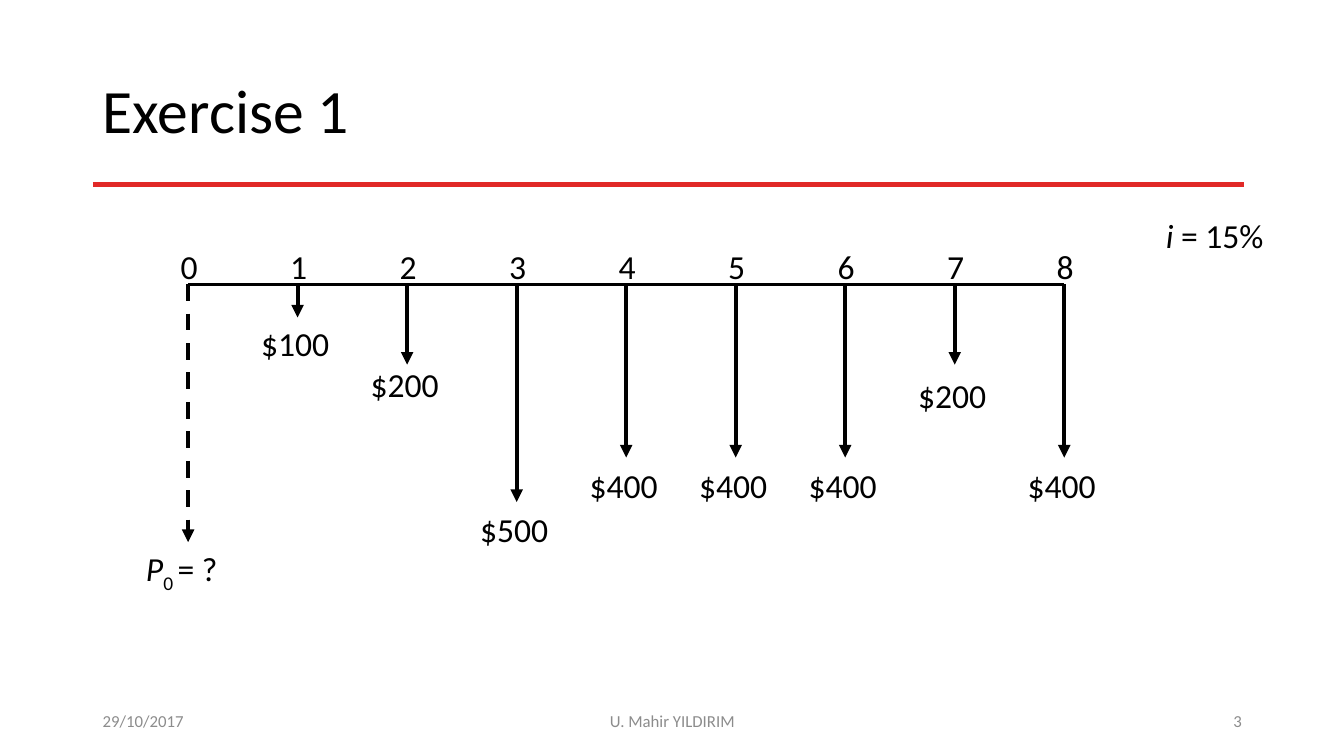
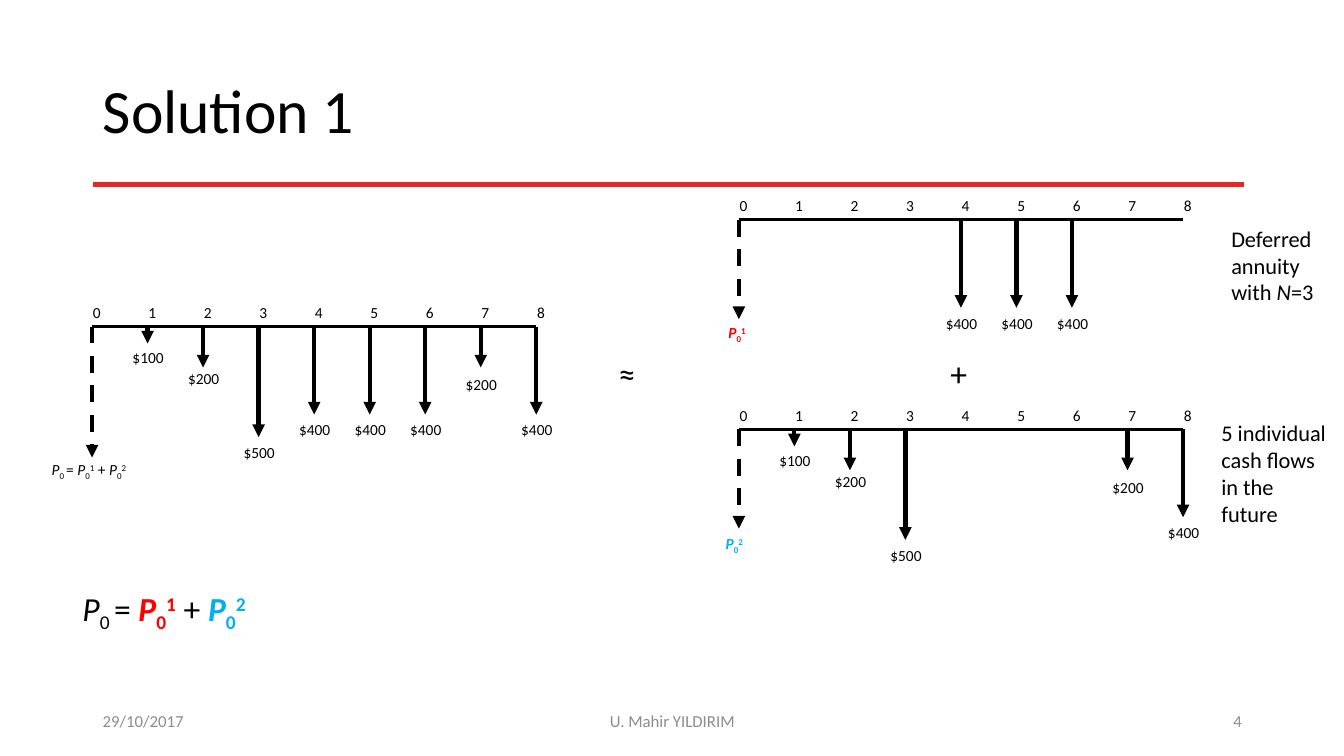
from dataclasses import dataclass

from lxml.etree import SubElement
from pptx import Presentation
from pptx.dml.color import RGBColor
from pptx.enum.dml import MSO_LINE
from pptx.enum.shapes import MSO_CONNECTOR
from pptx.enum.text import MSO_ANCHOR as ANCHOR, PP_ALIGN as ALIGN
from pptx.oxml.ns import qn
from pptx.util import Cm, Pt


@dataclass(frozen=True)
class Theme:
    font: str = "Calibri"
    ink: str = "000000"
    rule: str = "E12927"
    muted: str = "8C8C8C"
    annuity: str = "FF0000"
    individual: str = "00B0F0"
    title_size: int = 44
    body_size: int = 24
    note_size: int = 16
    footer_size: int = 12
    small_size: int = 11
    axis_width: float = 2.25
    line_width: float = 3


@dataclass(frozen=True)
class Run:
    text: str
    color: str = ""
    bold: bool = False
    italic: bool = False
    baseline: int = 0


@dataclass(frozen=True)
class Flow:
    period: int
    amount: int
    length: float
    label_top: float


@dataclass(frozen=True)
class DiagramStyle:
    scale: float
    text_size: int
    text_height: float
    period_offset: tuple
    period_width: float
    amount_offset: float
    amount_width: float
    amount_align: ALIGN


THEME = Theme()
LAST_PERIOD = 8
PERIOD_STEP = 2.76
LARGE = DiagramStyle(1, THEME.body_size, 1.27, (-0.44, -1.09), 0.97, -1.17, 2.44, ALIGN.LEFT)
SMALL = DiagramStyle(0.507, THEME.small_size, 0.74, (-0.23, -0.72), 0.48, -0.86, 1.75, ALIGN.CENTER)
SINGLE_FLOWS = [
    Flow(1, 100, 0.84, 0.84),
    Flow(2, 200, 2.03, 1.88),
    Flow(3, 500, 5.49, 5.54),
    Flow(7, 200, 2.03, 2.16),
    Flow(8, 400, 4.37, 4.42),
]
ANNUITY_FLOWS = [Flow(period, 400, 4.37, 4.42) for period in (4, 5, 6)]
ALL_FLOWS = SINGLE_FLOWS + ANNUITY_FLOWS


def add_text(slide, box, content, size, color=THEME.ink, align=ALIGN.LEFT,
             anchor=ANCHOR.TOP, spacing=1.0, right_inset=0.25):
    shape = slide.shapes.add_textbox(*map(Cm, box))
    frame = shape.text_frame
    frame.word_wrap = True
    frame.vertical_anchor = anchor
    frame.margin_right = Cm(right_inset)
    paragraph = frame.paragraphs[0]
    paragraph.alignment = align
    paragraph.line_spacing = spacing
    parts = [Run(content)] if isinstance(content, str) else content
    for part in parts:
        run = paragraph.add_run()
        run.text = part.text
        run.font.name = THEME.font
        run.font.size = Pt(size)
        run.font.bold = part.bold
        run.font.italic = part.italic
        run.font.color.rgb = RGBColor.from_string(part.color or color)
        if part.baseline:
            run._r.get_or_add_rPr().set("baseline", str(part.baseline * 1000))


def add_line(slide, start, end, width, color=THEME.ink, dashed=False, arrow=False):
    line = slide.shapes.add_connector(MSO_CONNECTOR.STRAIGHT, *map(Cm, (*start, *end)))
    line.line.width = Pt(width)
    line.line.color.rgb = RGBColor.from_string(color)
    if dashed:
        line.line.dash_style = MSO_LINE.DASH
    properties = line._element.spPr
    if arrow:
        SubElement(properties.find(qn("a:ln")), qn("a:tailEnd"), type="triangle")
    SubElement(properties, qn("a:effectLst"))


def add_arrow(slide, x, y, length, dashed=False):
    add_line(slide, (x, y), (x, y + length), THEME.line_width, dashed=dashed, arrow=True)


def add_cash_flow(slide, left, top, flows, present_length, style):
    step = PERIOD_STEP * style.scale
    add_line(slide, (left, top), (left + LAST_PERIOD * step, top), THEME.axis_width)
    add_arrow(slide, left, top, present_length, dashed=True)
    offset_x, offset_y = style.period_offset
    for period in range(LAST_PERIOD + 1):
        box = (left + period * step + offset_x, top + offset_y,
               style.period_width, style.text_height)
        add_text(slide, box, str(period), style.text_size, right_inset=0)
    for flow in flows:
        x = left + flow.period * step
        add_arrow(slide, x, top, flow.length * style.scale)
        box = (x + style.amount_offset, top + flow.label_top * style.scale,
               style.amount_width, style.text_height)
        add_text(slide, box, f"${flow.amount}", style.text_size, align=style.amount_align)


def present_value(part, color="", bold=False):
    return [
        Run("P", color, bold, italic=True),
        Run("0", color, bold, baseline=-25),
        Run(part, color, bold, baseline=30),
    ]


def present_value_sum(first, second):
    total = [Run("P", italic=True), Run("0 ", baseline=-25), Run("= ")]
    return total + first + [Run(" + ")] + second


def add_slide(presentation, title, number):
    slide = presentation.slides.add_slide(presentation.slide_layouts[6])
    add_line(slide, (2.34, 4.65), (31.34, 4.65), THEME.line_width, THEME.rule)
    add_text(slide, (2.34, 1.02, 29.21, 3.68), title, THEME.title_size,
             anchor=ANCHOR.MIDDLE, spacing=0.9)
    footers = [
        (2.34, 7.62, "29/10/2017", ALIGN.LEFT),
        (11.23, 11.43, "U. Mahir YILDIRIM", ALIGN.CENTER),
        (23.93, 7.62, str(number), ALIGN.RIGHT),
    ]
    for left, width, text, align in footers:
        add_text(slide, (left, 17.65, width, 1.02), text, THEME.footer_size,
                 THEME.muted, align, ANCHOR.MIDDLE)
    return slide


def build_exercise(presentation):
    slide = add_slide(presentation, "Exercise 1", 3)
    add_cash_flow(slide, 4.74, 7.16, ALL_FLOWS, 6.5, LARGE)
    unknown = [Run("P", italic=True), Run("0 ", baseline=-25), Run("= ?")]
    add_text(slide, (3.43, 13.69, 2.44, 1.27), unknown, THEME.body_size)
    interest = [Run("i", italic=True), Run(" = 15%")]
    add_text(slide, (29.13, 5.28, 3.91, 1.27), interest, THEME.body_size)


def build_solution(presentation):
    slide = add_slide(presentation, "Solution 1", 4)
    annuity = present_value("1", THEME.annuity, bold=True)
    individual = present_value("2", THEME.individual, bold=True)

    add_cash_flow(slide, 2.32, 8.23, ALL_FLOWS, 3.3, SMALL)
    add_cash_flow(slide, 18.62, 5.54, ANNUITY_FLOWS, 2.5, SMALL)
    add_cash_flow(slide, 18.62, 10.82, SINGLE_FLOWS, 2.5, SMALL)

    values = [
        (0.41, 11.48, 3.66, present_value_sum(present_value("1"), present_value("2"))),
        (17.7, 8.03, 1.75, annuity),
        (17.58, 13.34, 1.85, individual),
    ]
    for left, top, width, runs in values:
        add_text(slide, (left, top, width, 0.74), runs, THEME.small_size, align=ALIGN.CENTER)

    for left, symbol in ((15.34, "≈"), (23.7, "+")):
        add_text(slide, (left, 8.76, 0.94, 1.27), symbol, THEME.body_size, right_inset=0)
    add_text(slide, (1.83, 14.68, 5.28, 1.27), present_value_sum(annuity, individual),
             THEME.body_size)

    deferred = [Run("Deferred annuity with "), Run("N", italic=True), Run("=3")]
    add_text(slide, (30.78, 5.54, 3.07, 2.31), deferred, THEME.note_size)
    add_text(slide, (30.53, 10.44, 3.33, 3), "5 individual cash flows in the future",
             THEME.note_size)


def main():
    presentation = Presentation()
    presentation.slide_width = Cm(33.87)
    presentation.slide_height = Cm(19.05)
    build_exercise(presentation)
    build_solution(presentation)
    presentation.save("out.pptx")


if __name__ == "__main__":
    main()
